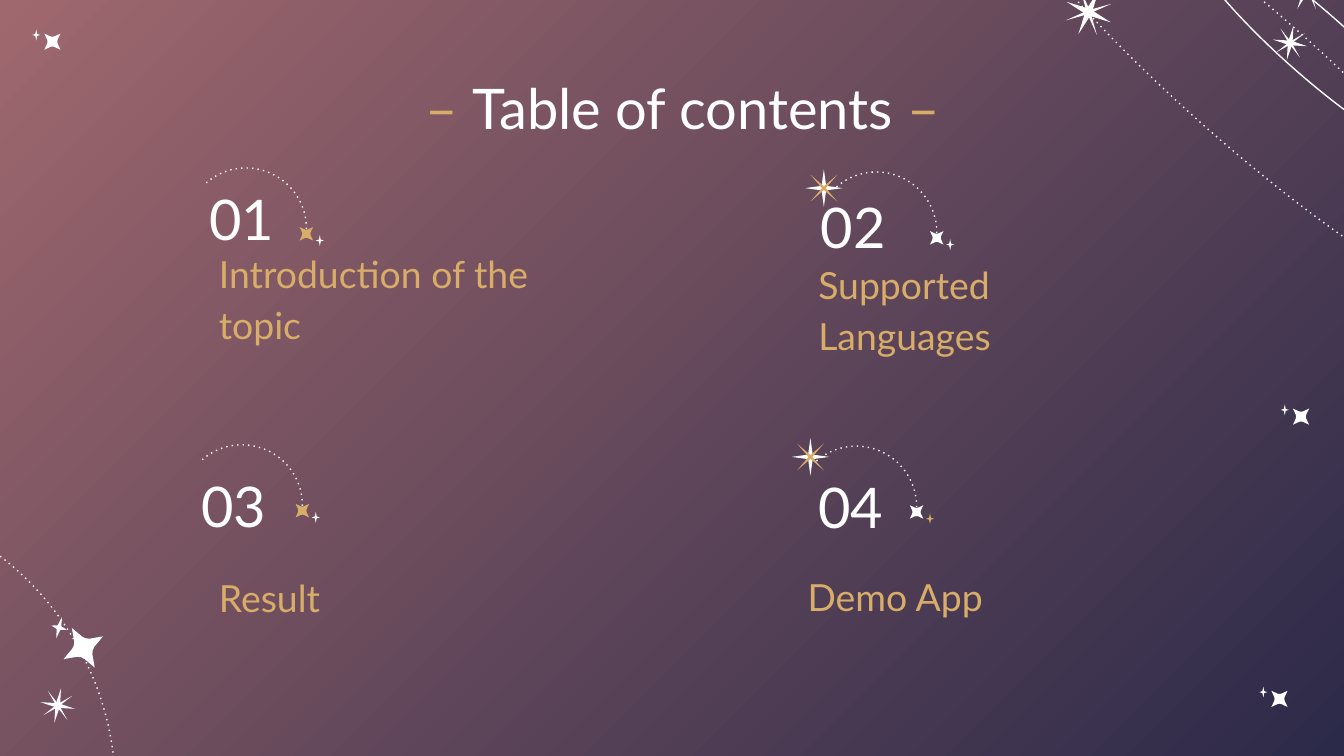
from dataclasses import dataclass
from math import cos, radians, sin
from typing import Optional

from pptx import Presentation
from pptx.dml.color import RGBColor
from pptx.enum.dml import MSO_LINE
from pptx.enum.shapes import MSO_SHAPE
from pptx.enum.text import MSO_ANCHOR, PP_ALIGN
from pptx.oxml.ns import qn
from pptx.util import Inches, Pt

ARC, OVAL = MSO_SHAPE.ARC, MSO_SHAPE.OVAL
DOT = MSO_LINE.ROUND_DOT
MIDDLE = MSO_ANCHOR.MIDDLE
LEFT, CENTER = PP_ALIGN.LEFT, PP_ALIGN.CENTER

Point = tuple[float, float]
Box = tuple[float, float, float, float]


@dataclass(frozen=True)
class Theme:
    white: RGBColor = RGBColor(0xFF, 0xFF, 0xFF)
    gold: RGBColor = RGBColor(0xD7, 0xAD, 0x69)
    rose: RGBColor = RGBColor(0x9F, 0x68, 0x6E)
    navy: RGBColor = RGBColor(0x2C, 0x2A, 0x49)
    font: str = "Lato"
    large: int = 30
    small: int = 20
    line: float = 0.75


@dataclass(frozen=True)
class Topic:
    number: str
    label: str
    num_at: Point
    label_at: Point
    arc_at: Point
    gem: RGBColor
    spark: RGBColor
    burst: Optional[Point] = None
    tall: float = 0.58


T = Theme()

TOPICS = [
    Topic("01", "Introduction of the topic", (1.46, 1.38), (1.53, 1.91),
          (1.38, 1.25), T.gold, T.white),
    Topic("02", "Supported Languages", (6.01, 1.44), (5.99, 1.99),
          (6.07, 1.28), T.white, T.white, (6.13, 1.4)),
    Topic("03", "Result", (1.4, 3.51), (1.53, 4.09),
          (1.35, 3.31), T.gold, T.white, tall=0.66),
    Topic("04", "Demo App", (5.99, 3.52), (5.91, 4.12),
          (5.92, 3.32), T.white, T.gold, (6.03, 3.4)),
]


# Outlines around a centre
def draw_path(slide, mid: Point, points: list[Point], tilt: float,
              color: RGBColor) -> None:
    c, s = cos(radians(tilt)), sin(radians(tilt))
    spots = [(Inches(mid[0] + x * c - y * s), Inches(mid[1] + x * s + y * c))
             for x, y in points]
    pen = slide.shapes.build_freeform(*spots[0])
    pen.add_line_segments(spots[1:], close=True)
    shape = pen.convert_to_shape()
    shape.shadow.inherit = False
    shape.fill.solid()
    shape.fill.fore_color.rgb = color
    shape.line.fill.background()


def draw_star(slide, mid: Point, wide: float, high: float, core: float,
              tilt: float, color: RGBColor) -> None:
    d = core * cos(radians(45))
    points = [(wide, 0), (d, d), (0, high), (-d, d),
              (-wide, 0), (-d, -d), (0, -high), (d, -d)]
    draw_path(slide, mid, points, tilt, color)


def draw_gem(slide, mid: Point, half: float, color: RGBColor,
             tilt: float = 0) -> None:
    side = [(1, 1), (0.65, 0.25), (0.6, 0), (0.65, -0.25)]
    points = []
    for _ in range(4):
        points += [(x * half, y * half) for x, y in side]
        side = [(y, -x) for x, y in side]
    draw_path(slide, mid, points, tilt, color)


def draw_burst(slide, mid: Point, size: float, tilt: float,
               second: RGBColor = T.white) -> None:
    draw_star(slide, mid, size, size, size * 0.17, tilt, T.white)
    draw_star(slide, mid, size, size, size * 0.1, tilt + 45, second)


def draw_pair(slide, mid: Point) -> None:
    draw_gem(slide, mid, 0.06, T.white)
    draw_star(slide, (mid[0] - 0.12, mid[1] - 0.05), 0.03, 0.04, 0.01, 0, T.white)


# Curves
def draw_curve(slide, kind, box: Box, turn: float, dotted: bool = True,
               ends: Optional[Point] = None) -> None:
    shape = slide.shapes.add_shape(kind, *map(Inches, box))
    shape.rotation = turn
    if ends:
        shape.adjustments[0], shape.adjustments[1] = ends
    shape.shadow.inherit = False
    shape.fill.background()
    shape.line.color.rgb = T.white
    shape.line.width = Pt(T.line)
    if dotted:
        shape.line.dash_style = DOT
        next(shape._element.iter(qn("a:prstDash"))).set("val", "dot")


# Text
def add_text(slide, box: Box, runs: list[tuple[str, RGBColor]], size: int,
             align=LEFT, space: float = 1.0) -> None:
    frame = slide.shapes.add_textbox(*map(Inches, box)).text_frame
    frame.word_wrap = True
    frame.vertical_anchor = MIDDLE
    frame.margin_left = frame.margin_right = Inches(0.1)
    frame.margin_top = frame.margin_bottom = Inches(0.1)
    para = frame.paragraphs[0]
    para.alignment = align
    para.line_spacing = space
    para.font.name = T.font
    para.font.size = Pt(size)
    for words, color in runs:
        run = para.add_run()
        run.text = words
        run.font.color.rgb = color


def draw_topic(slide, topic: Topic) -> None:
    x, y = topic.arc_at
    draw_curve(slide, ARC, (x, y, 0.9, 0.9), 4.9, ends=(134.41, 0.2))
    draw_gem(slide, (x + 0.9, y + 0.49), 0.05, topic.gem)
    draw_star(slide, (x + 1, y + 0.54), 0.03, 0.04, 0.01, 0, topic.spark)
    if topic.burst:
        draw_burst(slide, topic.burst, 0.14, 0, T.gold)
    add_text(slide, (*topic.label_at, 2.52, topic.tall), [(topic.label, T.gold)],
             T.small, space=1.15)
    add_text(slide, (*topic.num_at, 0.82, 0.49), [(topic.number, T.white)], T.large)


def main() -> None:
    # Wide 16:9 page
    deck = Presentation()
    deck.slide_width = Inches(10)
    deck.slide_height = Inches(10 * 9 / 16)
    slide = deck.slides.add_slide(deck.slide_layouts[6])

    # Background
    fill = slide.background.fill
    fill.gradient()
    fill.gradient_angle = 315
    for stop, color in zip(fill.gradient_stops, (T.rose, T.navy)):
        stop.color.rgb = color

    # Sky
    for mid in [(9.52, 5.2), (9.68, 3.1), (0.39, 0.31)]:
        draw_pair(slide, mid)
    draw_curve(slide, OVAL, (8.53, 0.09, 2.51, 0.48), 41.4, dotted=False)
    draw_curve(slide, OVAL, (6.71, 0.09, 5.2, 0.99), 41.4)
    for mid, size, tilt in [((0.43, 5.25), 0.13, 11), ((9.6, 0.32), 0.13, 11),
                            ((9.73, -0.1), 0.18, 25), ((8.1, 0.09), 0.18, 25)]:
        draw_burst(slide, mid, size, tilt)
    draw_curve(slide, ARC, (-3.55, 3.68, 4.41, 4.41), 4.9, ends=(134.41, 31.93))
    draw_gem(slide, (0.62, 4.82), 0.12, T.white, 15)
    draw_star(slide, (0.44, 4.67), 0.06, 0.08, 0.02, 15, T.white)

    # Title and topics
    add_text(slide, (0.92, 0.58, 8.43, 0.43),
             [("– ", T.gold), ("Table of contents ", T.white), ("– ", T.gold)],
             T.large, CENTER)
    for topic in TOPICS:
        draw_topic(slide, topic)

    deck.save("out.pptx")


if __name__ == "__main__":
    main()
